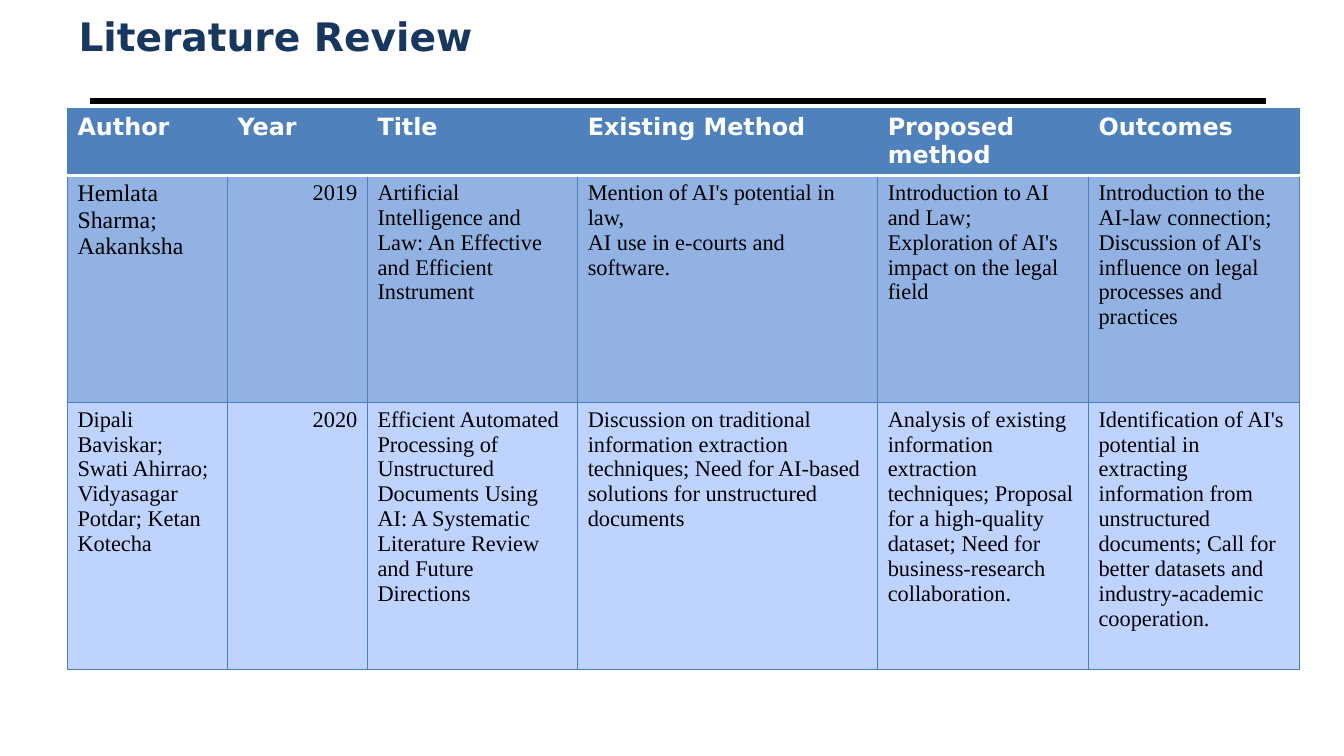
from lxml import etree
from pptx import Presentation
from pptx.dml.color import RGBColor
from pptx.enum.shapes import MSO_CONNECTOR
from pptx.enum.text import MSO_ANCHOR, PP_ALIGN
from pptx.oxml.ns import qn
from pptx.util import Pt

HEAD = ("Author", "Year", "Title", "Existing Method", "Proposed method", "Outcomes")
PAPERS = [
    ("Hemlata Sharma; Aakanksha", "2019",
     "Artificial Intelligence and Law: An Effective and Efficient Instrument",
     "Mention of AI's potential in law,\nAI use in e-courts and software.",
     "Introduction to AI and Law; Exploration of AI's impact on the legal field",
     "Introduction to the AI-law connection; Discussion of AI's influence on "
     "legal processes and practices"),
    ("Dipali Baviskar; Swati Ahirrao; Vidyasagar Potdar; Ketan Kotecha", "2020",
     "Efficient Automated Processing of Unstructured Documents Using AI: "
     "A Systematic Literature Review and Future Directions",
     "Discussion on traditional information extraction techniques; "
     "Need for AI-based solutions for unstructured documents",
     "Analysis of existing information extraction techniques; Proposal for a "
     "high-quality dataset; Need for business-research collaboration.",
     "Identification of AI's potential in extracting information from unstructured "
     "documents; Call for better datasets and industry-academic cooperation."),
]
WIDTHS = (114.3, 100, 150.2, 214.3, 150.6, 150.6)
HEIGHTS = (47, 162, 190.8)

BLACK = RGBColor(0, 0, 0)
WHITE = RGBColor(255, 255, 255)
NAVY = RGBColor(0x17, 0x37, 0x5E)
BLUE = RGBColor(0x4F, 0x81, 0xBD)
MID = RGBColor(0x92, 0xB2, 0xE4)
PALE = RGBColor(0xBF, 0xD3, 0xFF)
EDGE = RGBColor(0x4B, 0x7E, 0xBC)
FILLS = (BLUE, MID, PALE)
SANS, SERIF = "DejaVu Sans", "Times New Roman"
YEAR = HEAD.index("Year")
LEFT, RIGHT = PP_ALIGN.LEFT, PP_ALIGN.RIGHT

TITLE = {"name": SANS, "size": Pt(28), "bold": True}
LABEL = {"name": SANS, "size": Pt(17), "bold": True}
BODY = {"name": SERIF, "size": Pt(16), "bold": False}
LEAD = {**BODY, "size": Pt(17)}


def write(frame, text, style, color, align=LEFT):
    frame.text = text
    for para in frame.paragraphs:
        para.alignment = align
        for run in para.runs:
            for key, value in style.items():
                setattr(run.font, key, value)
            run.font.color.rgb = color


def edge(cell, side, color, width):
    line = etree.SubElement(cell._tc.get_or_add_tcPr(), qn("a:ln" + side), w=str(Pt(width)))
    fill = etree.SubElement(line, qn("a:solidFill"))
    etree.SubElement(fill, qn("a:srgbClr"), val=str(color))


def add_title(slide):
    box = slide.shapes.add_textbox(Pt(49), Pt(6.5), Pt(840), Pt(38))
    frame = box.text_frame
    frame.word_wrap = True
    frame.vertical_anchor = MSO_ANCHOR.MIDDLE
    write(frame, "Literature Review", TITLE, NAVY)


def add_rule(slide):
    rule = slide.shapes.add_connector(MSO_CONNECTOR.STRAIGHT, Pt(64), Pt(72), Pt(904), Pt(72))
    rule.line.color.rgb = BLACK
    rule.line.width = Pt(4.5)
    etree.SubElement(rule._element.spPr, qn("a:effectLst"))


def add_papers(slide):
    rows = [HEAD, *PAPERS]
    table = slide.shapes.add_table(len(rows), len(HEAD), Pt(48.2), Pt(77.2),
                                   Pt(sum(WIDTHS)), Pt(sum(HEIGHTS))).table
    table.horz_banding = False
    for col, width in zip(table.columns, WIDTHS):
        col.width = Pt(width)
    for r, texts in enumerate(rows):
        table.rows[r].height = Pt(HEIGHTS[r])
        for c, text in enumerate(texts):
            cell = table.cell(r, c)
            style = LABEL if r == 0 else LEAD if (r, c) == (1, 0) else BODY
            align = RIGHT if r and c == YEAR else LEFT
            write(cell.text_frame, text, style, BLACK if r else WHITE, align)
            for side in "LRTB":
                split = (r, side) in ((0, "B"), (1, "T"))
                edge(cell, side, *((WHITE, 2) if split else (EDGE, 0.75)))
            cell.fill.solid()
            cell.fill.fore_color.rgb = FILLS[r]


def main():
    deck = Presentation()
    deck.slide_width, deck.slide_height = Pt(960), Pt(540)
    slide = deck.slides.add_slide(deck.slide_layouts[6])
    add_rule(slide)
    add_title(slide)
    add_papers(slide)
    deck.save("out.pptx")


if __name__ == "__main__":
    main()
